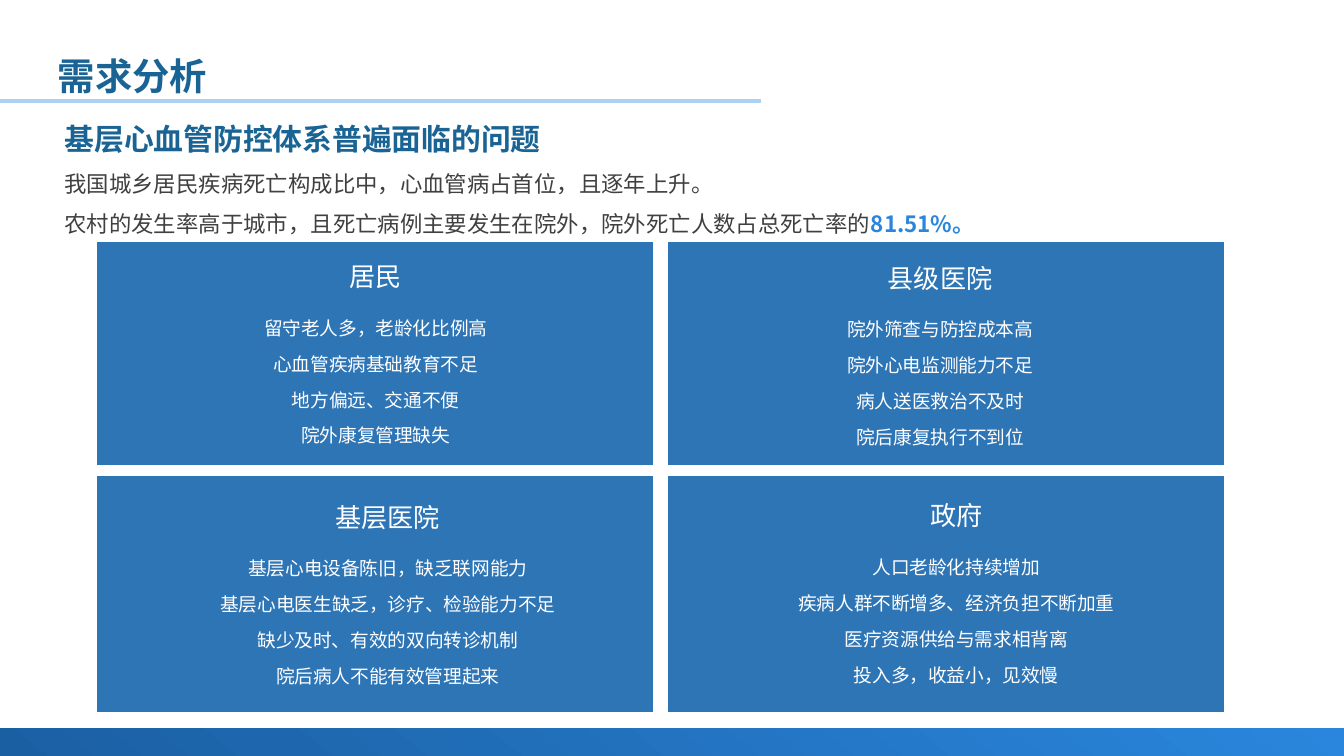
import pptx
import pptx.util
import pptx.dml.color
import pptx.enum.shapes
import pptx.enum.text
import pptx.oxml
import pptx.oxml.ns
from pptx.util import Inches, Pt
from pptx.dml.color import RGBColor

FONT = "Noto Sans CJK SC"
TITLE_BLUE = RGBColor(0x19, 0x64, 0x94)
RULE_BLUE = RGBColor(0xAD, 0xD1, 0xF2)
PANEL_BLUE = RGBColor(0x2E, 0x75, 0xB6)
FOOTER_DARK = RGBColor(0x1B, 0x5F, 0xA3)
FOOTER_LIGHT = RGBColor(0x2A, 0x86, 0xDC)
BODY_GRAY = RGBColor(0x40, 0x40, 0x40)
WHITE = RGBColor(0xFF, 0xFF, 0xFF)

PANEL_WIDTH = 4.14
COLUMNS = (0.72, 4.97)
ROWS = ((1.8, 1.66), (3.54, 1.76))

GROUPS = [
    (0, 0, 1.18, 1.89, "居民",
     ["留守老人多，老龄化比例高", "心血管疾病基础教育不足",
      "地方偏远、交通不便", "院外康复管理缺失"]),
    (1, 0, 5.38, 1.9, "县级医院",
     ["院外筛查与防控成本高", "院外心电监测能力不足",
      "病人送医救治不及时", "院后康复执行不到位"]),
    (0, 1, 1.27, 3.68, "基层医院",
     ["基层心电设备陈旧，缺乏联网能力", "基层心电医生缺乏，诊疗、检验能力不足",
      "缺少及时、有效的双向转诊机制", "院后病人不能有效管理起来"]),
    (1, 1, 5.5, 3.67, "政府",
     ["人口老龄化持续增加", "疾病人群不断增多、经济负担不断加重",
      "医疗资源供给与需求相背离", "投入多，收益小，见效慢"]),
]


def place(shape, left, top, width, height):
    shape.left, shape.top = Inches(left), Inches(top)
    shape.width, shape.height = Inches(width), Inches(height)


def style_run(run, size, color, bold=False):
    run.font.size = Pt(size)
    run.font.bold = bold
    run.font.color.rgb = color
    run.font.name = FONT
    east_asian = pptx.oxml.parse_xml(
        f'<a:ea {pptx.oxml.ns.nsdecls("a")} typeface="{FONT}"/>')
    run.font._element.find(pptx.oxml.ns.qn("a:latin")).addnext(east_asian)


def style_paragraph(paragraph, size, color, bold=False):
    for run in paragraph.runs:
        style_run(run, size, color, bold)


def add_footer(slide):
    footer = slide.shapes.add_shape(
        pptx.enum.shapes.MSO_SHAPE.RECTANGLE,
        Inches(0), Inches(5.42), Inches(10), Inches(0.21))
    footer.shadow.inherit = False
    footer.line.fill.background()
    footer.fill.gradient()
    footer.fill.gradient_angle = 50
    for stop, color in zip(footer.fill.gradient_stops, (FOOTER_DARK, FOOTER_LIGHT)):
        stop.color.rgb = color


def add_title_rule(slide):
    rule = slide.shapes.add_connector(
        pptx.enum.shapes.MSO_CONNECTOR.STRAIGHT,
        Inches(0), Inches(0.75), Inches(5.66), Inches(0.75))
    rule.line.color.rgb = RULE_BLUE
    rule.line.width = Pt(2)
    rule._element.spPr.append(pptx.oxml.parse_xml(
        f'<a:effectLst {pptx.oxml.ns.nsdecls("a")}/>'))


def fill_title(title):
    place(title, 0.38, 0, 8.48, 0.61)
    frame = title.text_frame
    frame.text = "需求分析"
    frame.vertical_anchor = pptx.enum.text.MSO_ANCHOR.MIDDLE
    frame.margin_left = frame.margin_right = Inches(0.05)
    frame.margin_top = frame.margin_bottom = Inches(0.05)
    heading = frame.paragraphs[0]
    heading.alignment = pptx.enum.text.PP_ALIGN.LEFT
    heading.line_spacing = Pt(60.8)
    style_paragraph(heading, 20, TITLE_BLUE, True)


def fill_summary(body):
    place(body, 0.38, 0.85, 8.48, 0.94)
    frame = body.text_frame
    frame.text = ("基层心血管防控体系普遍面临的问题\n"
                  "我国城乡居民疾病死亡构成比中，心血管病占首位，且逐年上升。\n"
                  "农村的发生率高于城市，且死亡病例主要发生在院外，院外死亡人数占总死亡率的")
    for paragraph in frame.paragraphs:
        properties = paragraph._p.get_or_add_pPr()
        properties.set("marL", "0")
        properties.set("indent", "0")
        properties.append(pptx.oxml.parse_xml(
            f'<a:buNone {pptx.oxml.ns.nsdecls("a")}/>'))
        paragraph.space_before = Pt(0)
    heading, *facts = frame.paragraphs
    style_paragraph(heading, 16, TITLE_BLUE, True)
    for fact in facts:
        fact.line_spacing = 1.5
        style_paragraph(fact, 12, BODY_GRAY)
    share = facts[-1].add_run()
    share.text = "81.51%。"
    style_run(share, 12, FOOTER_LIGHT, True)


def add_panel(slide, left, top, height):
    outline = slide.shapes.build_freeform(Inches(left), Inches(top))
    right, bottom = left + PANEL_WIDTH, top + height
    outline.add_line_segments(
        [(Inches(x), Inches(y))
         for x, y in ((right, top), (right, bottom), (left, bottom))], close=True)
    panel = outline.convert_to_shape()
    panel.shadow.inherit = False
    panel.fill.solid()
    panel.fill.fore_color.rgb = PANEL_BLUE
    panel.line.fill.background()


def add_group_text(slide, left, top, heading, problems):
    frame = slide.shapes.add_textbox(
        Inches(left), Inches(top), Inches(3.23), Inches(1.49)).text_frame
    frame.word_wrap = True
    frame.text = "\n".join([heading, *problems])
    for paragraph in frame.paragraphs:
        paragraph.alignment = pptx.enum.text.PP_ALIGN.CENTER
    first, *rest = frame.paragraphs
    first.space_after = Pt(6)
    style_paragraph(first, 14, WHITE)
    for problem in rest:
        problem.space_before = Pt(7.2)
        style_paragraph(problem, 10, WHITE)


def main():
    presentation = pptx.Presentation()
    presentation.slide_width = Inches(10)
    presentation.slide_height = presentation.slide_width * 9 // 16
    slide = presentation.slides.add_slide(presentation.slide_layouts[1])
    add_footer(slide)
    add_title_rule(slide)
    fill_title(slide.shapes.title)
    fill_summary(slide.placeholders[1])
    for column, row, *_ in GROUPS:
        top, height = ROWS[row]
        add_panel(slide, COLUMNS[column], top, height)
    for _, _, left, top, heading, problems in GROUPS:
        add_group_text(slide, left, top, heading, problems)
    presentation.save("out.pptx")


if __name__ == "__main__":
    main()
